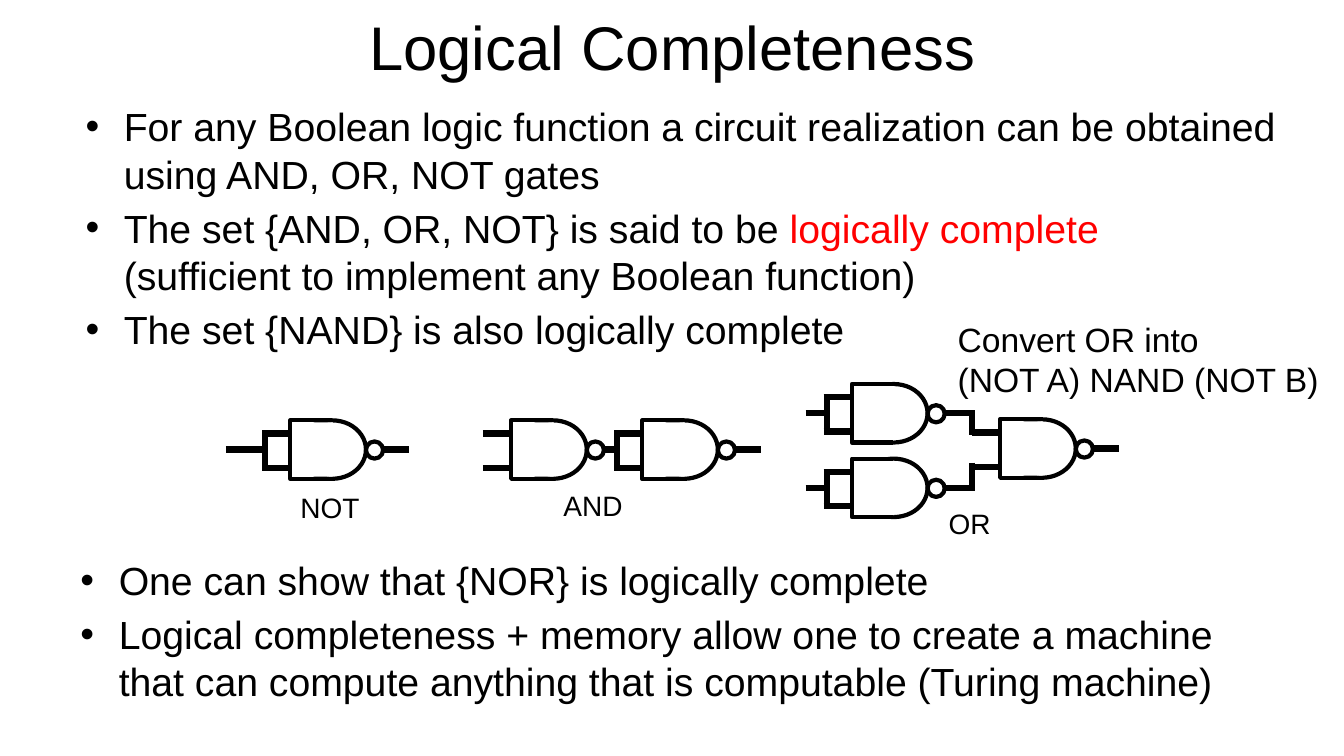
from lxml.etree import SubElement
from pptx import Presentation
from pptx.dml.color import RGBColor
from pptx.enum.shapes import MSO_CONNECTOR, MSO_SHAPE
from pptx.enum.text import MSO_ANCHOR, MSO_AUTO_SIZE, PP_ALIGN
from pptx.oxml.ns import qn
from pptx.util import Inches, Pt

BLACK = RGBColor(0x00, 0x00, 0x00)
WHITE = RGBColor(0xFF, 0xFF, 0xFF)
RED = RGBColor(0xFF, 0x00, 0x00)
FONT = "Arial"
WIRE_WEIGHT = 4.5
OUTLINE_WEIGHT = 3


def add_run(paragraph, text, size, color=BLACK):
    """Append one formatted run."""
    run = paragraph.add_run()
    run.text = text
    run.font.name = FONT
    run.font.size = Pt(size)
    run.font.color.rgb = color


def add_text_frame(slide, left, top, width, height, wrap=True):
    """Add a text box and return its text frame."""
    box = slide.shapes.add_textbox(
        Inches(left), Inches(top), Inches(width), Inches(height))
    box.text_frame.word_wrap = wrap
    return box.text_frame


def add_title(slide, text):
    """Add the centred slide title."""
    frame = add_text_frame(slide, 2.42, 0.02, 8.5, 0.87)
    frame.vertical_anchor = MSO_ANCHOR.MIDDLE
    frame.paragraphs[0].alignment = PP_ALIGN.CENTER
    add_run(frame.paragraphs[0], text, 44)


def add_bullets(slide, left, top, height, bullets):
    """Add a bulleted list; each bullet is a list of (text, color) runs."""
    frame = add_text_frame(slide, left, top, 12, height)
    for index, runs in enumerate(bullets):
        paragraph = frame.add_paragraph() if index else frame.paragraphs[0]
        properties = paragraph._p.get_or_add_pPr()
        properties.set("marL", str(Inches(0.38)))
        properties.set("indent", str(Inches(-0.38)))
        SubElement(properties, qn("a:buFont"), typeface=FONT)
        SubElement(properties, qn("a:buChar"), char="•")
        if index:
            paragraph.space_before = Pt(5)
        for text, color in runs:
            add_run(paragraph, text, 28, color)


def add_caption(slide, left, top, width, text):
    """Name a circuit beneath its gates."""
    frame = add_text_frame(slide, left, top, width, 0.44, wrap=False)
    frame.auto_size = MSO_AUTO_SIZE.SHAPE_TO_FIT_TEXT
    add_run(frame.paragraphs[0], text, 20)


def add_note(slide, first_line, second_line):
    """Add the two-line remark above the OR circuit."""
    frame = add_text_frame(slide, 9.4, 3.11, 3.79, 0.91)
    frame.auto_size = MSO_AUTO_SIZE.SHAPE_TO_FIT_TEXT
    paragraph = frame.paragraphs[0]
    add_run(paragraph, first_line, 24)
    paragraph.add_line_break()
    add_run(paragraph, second_line, 24)


def add_wire(slide, x1, y1, x2, y2):
    """Draw a straight wire."""
    wire = slide.shapes.add_connector(
        MSO_CONNECTOR.STRAIGHT, Inches(x1), Inches(y1), Inches(x2), Inches(y2))
    wire.line.color.rgb = BLACK
    wire.line.width = Pt(WIRE_WEIGHT)
    SubElement(wire._element.spPr, qn("a:effectLst"))


def outline(shape):
    """Give a gate part its black edge."""
    shape.line.color.rgb = BLACK
    shape.line.width = Pt(OUTLINE_WEIGHT)


def add_white_part(slide, kind, left, top, width, height):
    """Add a white, shadowless preset shape."""
    part = slide.shapes.add_shape(
        kind, Inches(left), Inches(top), Inches(width), Inches(height))
    part.shadow.inherit = False
    part.fill.solid()
    part.fill.fore_color.rgb = WHITE
    return part


def add_nand(slide, x, y, output=0.5, tied=False, lead=0):
    """Draw a NAND gate; tied joins its inputs and lead feeds them."""
    middle = y + 0.29
    for pin in (y + 0.13, y + 0.47):
        add_wire(slide, x - 0.28, pin, x + 0.01, pin)
    add_wire(slide, x + 0.68, middle, x + 0.68 + output, middle)
    outline(add_white_part(slide, MSO_SHAPE.OVAL, x + 0.08, y, 0.67, 0.58))
    cover = add_white_part(slide, MSO_SHAPE.RECTANGLE, x, y + 0.02, 0.42, 0.54)
    cover.line.fill.background()
    builder = slide.shapes.build_freeform(Inches(x + 0.41), Inches(y))
    builder.add_line_segments(
        [(Inches(x + dx), Inches(y + dy))
         for dx, dy in ((0, 0), (0, 0.58), (0.41, 0.58))], close=False)
    body = builder.convert_to_shape()
    body.shadow.inherit = False
    body.fill.background()
    outline(body)
    outline(add_white_part(slide, MSO_SHAPE.OVAL, x + 0.75, y + 0.21, 0.17, 0.17))
    if tied:
        add_wire(slide, x - 0.25, y + 0.11, x - 0.25, y + 0.49)
    if lead:
        add_wire(slide, x - 0.22 - lead, middle, x - 0.22, middle)


def add_not_circuit(slide):
    """Draw NOT from one NAND."""
    add_nand(slide, 2.88, 4.17, tied=True, lead=0.42)
    add_caption(slide, 2.88, 4.82, 0.79, "NOT")


def add_and_circuit(slide):
    """Draw AND from two NANDs."""
    add_nand(slide, 6.37, 4.17, tied=True)
    add_nand(slide, 5.07, 4.17, output=0.39)
    add_caption(slide, 5.49, 4.8, 0.8, "AND")


def add_or_circuit(slide):
    """Draw OR from three NANDs."""
    add_nand(slide, 9.92, 4.16)
    for top in (3.81, 4.55):
        add_nand(slide, 8.45, top, tied=True, lead=0.24)
    for start, end in ((4.07, 4.32), (4.59, 4.87)):
        add_wire(slide, 9.64, start, 9.64, end)
    add_caption(slide, 9.31, 4.98, 0.62, "OR")


def main():
    """Build and save the slide."""
    deck = Presentation()
    deck.slide_width, deck.slide_height = Inches(13.33), Inches(7.5)
    slide = deck.slides.add_slide(deck.slide_layouts[6])
    add_title(slide, "Logical Completeness")
    add_bullets(slide, 0.75, 0.97, 3.21, [
        [("For any Boolean logic function a circuit realization can be "
          "obtained using AND, OR, NOT gates", BLACK)],
        [("The set {AND, OR, NOT} is said to be ", BLACK),
         ("logically complete ", RED),
         ("(sufficient to implement any Boolean function)", BLACK)],
        [("The set {NAND} is also logically complete", BLACK)],
    ])
    add_not_circuit(slide)
    add_and_circuit(slide)
    add_or_circuit(slide)
    add_bullets(slide, 0.7, 5.47, 2.09, [
        [("One can show that {NOR} is logically complete", BLACK)],
        [("Logical completeness + memory allow one to create a machine that "
          "can compute anything that is computable (Turing machine)", BLACK)],
    ])
    add_note(slide, "Convert OR into", "(NOT A) NAND (NOT B)")
    deck.save("out.pptx")


if __name__ == "__main__":
    main()
